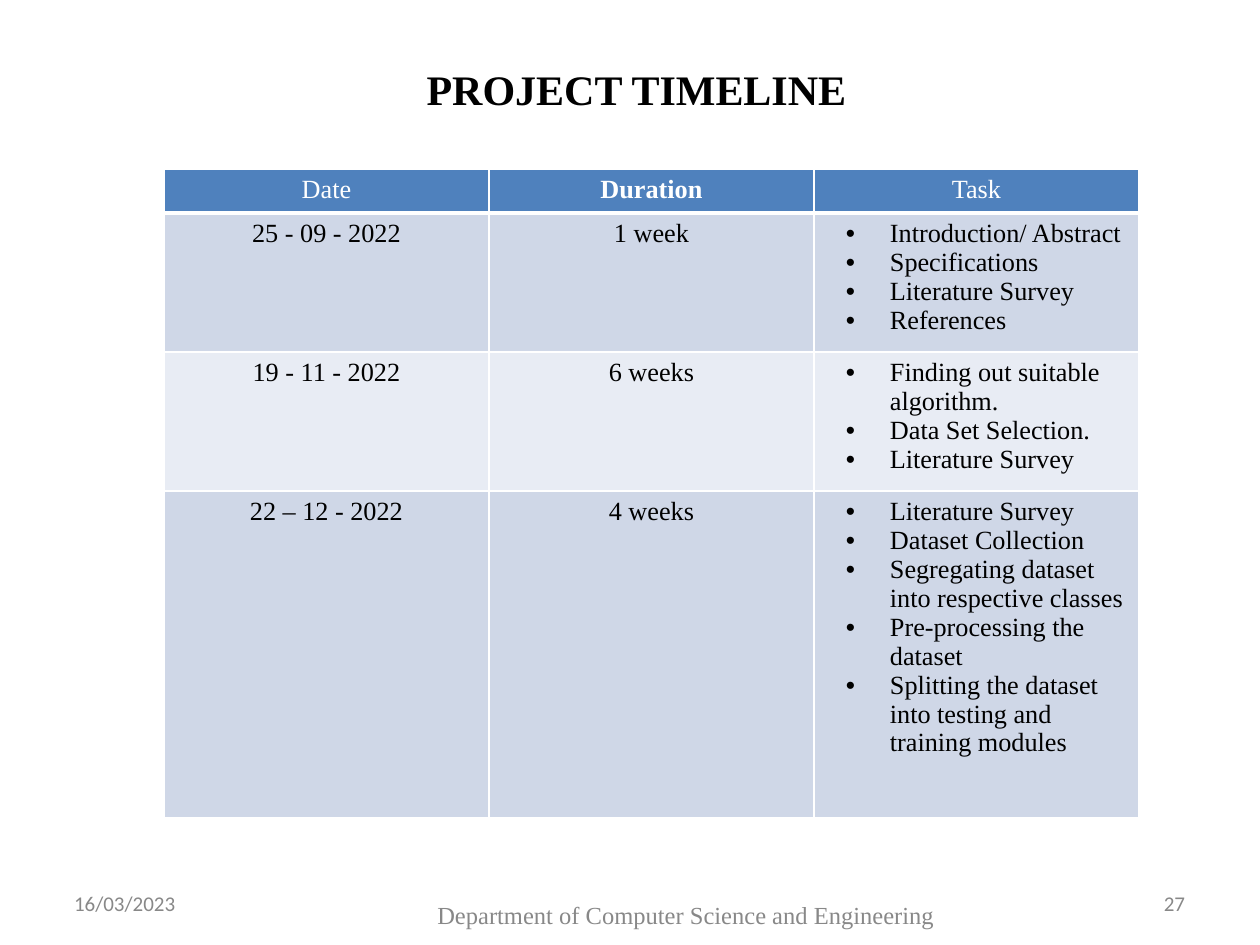
import pptx
import pptx.util
import pptx.dml.color
import pptx.enum.text
import lxml.etree

PX = 914400 // 126
RGB = pptx.dml.color.RGBColor
BLACK = RGB(0, 0, 0)
WHITE = RGB(255, 255, 255)
GREY = RGB(0x88, 0x88, 0x88)
BLUE = RGB(0x4F, 0x81, 0xBD)
DARK = RGB(0xCF, 0xD7, 0xE7)
LIGHT = RGB(0xE8, 0xEC, 0xF4)
SERIF = "Times New Roman"
ALIGN = pptx.enum.text.PP_ALIGN
LEFT, MID, RIGHT = ALIGN.LEFT, ALIGN.CENTER, ALIGN.RIGHT


def write(para, text, size, font, color, bold, align):
    para.alignment = align
    run = para.add_run()
    run.text = text
    run.font.size = pptx.util.Pt(size)
    run.font.name = font
    run.font.bold = bold
    run.font.color.rgb = color


def add_xml(node, tag, **attrs):
    name = pptx.oxml.ns.qn("a:" + tag)
    return lxml.etree.SubElement(node, name, attrs)


deck = pptx.Presentation()
deck.slide_width = 1260 * PX
deck.slide_height = 945 * PX
slide = deck.slides.add_slide(deck.slide_layouts[6])

# Title and footer texts
texts = [
    (253, 64, 767, 53, "PROJECT TIMELINE", 24, SERIF, BLACK, True, MID),
    (74, 891, 105, 26, "16/03/2023", 12, "Calibri", GREY, False, LEFT),
    (1154, 891, 31, 26, "27", 12, "Calibri", GREY, False, RIGHT),
    (345, 900, 682, 40, "Department of Computer Science and Engineering",
     14, SERIF, GREY, False, MID),
]
for x, y, w, h, *style in texts:
    box = slide.shapes.add_textbox(x * PX, y * PX, w * PX, h * PX)
    frame = box.text_frame
    frame.word_wrap = True
    frame.margin_left = frame.margin_right = 0
    frame.margin_top = frame.margin_bottom = 0
    write(frame.paragraphs[0], *style)

# Timeline table: a list in a cell becomes bullets
rows = [
    ("Date", "Duration", "Task"),
    ("25 - 09 - 2022", "1 week",
     ["Introduction/ Abstract", "Specifications", "Literature Survey",
      "References"]),
    ("19 - 11 - 2022", "6 weeks",
     ["Finding out suitable algorithm.", "Data Set Selection.",
      "Literature Survey"]),
    ("22 – 12 - 2022", "4 weeks",
     ["Literature Survey", "Dataset Collection",
      "Segregating dataset into respective classes",
      "Pre-processing the dataset",
      "Splitting the dataset into testing and training modules"]),
]
tall = [44, 139, 139, 327]
fills = [BLUE, DARK, LIGHT, DARK]
wide = 325
table = slide.shapes.add_table(
    4, 3, 164 * PX, 169 * PX, 3 * wide * PX, sum(tall) * PX).table
for col in table.columns:
    col.width = wide * PX

for i, row in enumerate(rows):
    table.rows[i].height = tall[i] * PX
    for j, item in enumerate(row):
        cell = table.cell(i, j)
        cell.margin_left = cell.margin_right = 13 * PX
        cell.margin_top = cell.margin_bottom = 6 * PX
        listed = isinstance(item, list)
        lines = item if listed else [item]
        frame = cell.text_frame
        for n, line in enumerate(lines):
            para = frame.add_paragraph() if n else frame.paragraphs[0]
            write(para, line, 15, SERIF, BLACK if i else WHITE,
                  line == "Duration", LEFT if listed else MID)
            if listed:
                props = para._p.get_or_add_pPr()
                props.set("marL", str(63 * PX))
                props.set("indent", str(-44 * PX))
                add_xml(props, "buFont", typeface="Arial")
                add_xml(props, "buChar", char="•")

        # White borders, thicker around the foot of the header
        props = cell._tc.get_or_add_tcPr()
        for side in ("lnL", "lnR", "lnT", "lnB"):
            thick = (i, side) in ((0, "lnB"), (1, "lnT"))
            line = add_xml(props, side, w=str(pptx.util.Pt(3 if thick else 1)))
            add_xml(add_xml(line, "solidFill"), "srgbClr", val=str(WHITE))
        cell.fill.solid()
        cell.fill.fore_color.rgb = fills[i]

deck.save("out.pptx")
